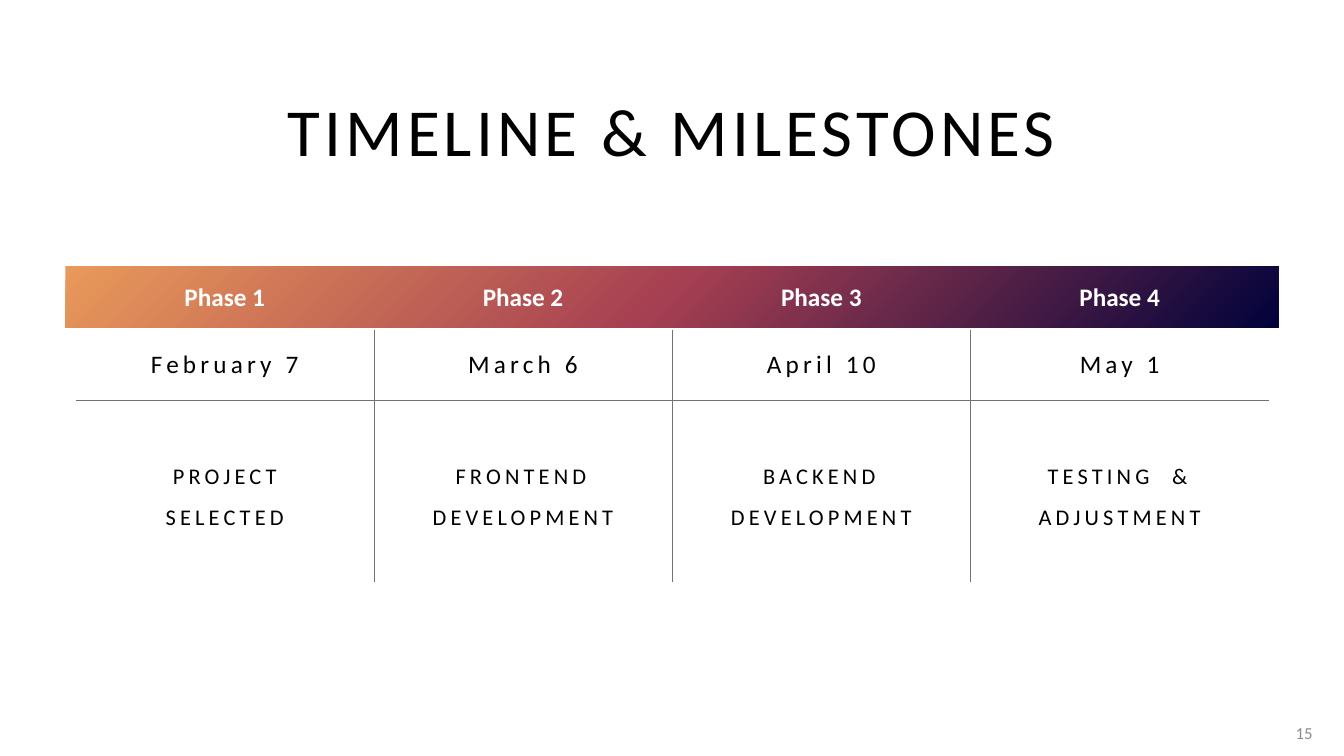
from lxml.etree import SubElement
from pptx import Presentation
from pptx.dml.color import RGBColor
from pptx.enum.shapes import MSO_SHAPE
from pptx.enum.text import MSO_ANCHOR, PP_ALIGN
from pptx.oxml import parse_xml
from pptx.oxml.ns import nsdecls, qn
from pptx.util import Pt

BLACK = RGBColor(0x00, 0x00, 0x00)
WHITE = RGBColor(0xFF, 0xFF, 0xFF)
GREY = RGBColor(0x8C, 0x8C, 0x8C)
RULE = RGBColor(0x76, 0x71, 0x71)
NAVY = RGBColor(0x01, 0x02, 0x3B)
ROSE = RGBColor(0xA5, 0x3F, 0x52)
ORANGE = RGBColor(0xE9, 0x99, 0x5A)

NO_STYLE = "{2D5ABB26-0587-4C30-8999-92F81FD0307C}"
LEFT, BAND_W = 46.8, 866.2
COL_W = 213.1
ROW_HEIGHTS = [46, 50.4, 129.6]

PHASES = [
    ("Phase 1", "February 7", "PROJECT\nSELECTED"),
    ("Phase 2", "March 6", "FRONTEND DEVELOPMENT"),
    ("Phase 3", "April 10", "BACKEND\vDEVELOPMENT"),
    ("Phase 4", "May 1", "TESTING  & ADJUSTMENT"),
]
ROW_FORMATS = [
    dict(size=18, color=WHITE, bold=True),
    dict(size=18, color=BLACK, spacing=3),
    dict(size=16, color=BLACK, spacing=3, line_spacing=1.5),
]


def write(tf, text, size, color, bold=False, spacing=0, line_spacing=1.0,
          align=PP_ALIGN.CENTER):
    """Fill a text frame; each newline starts a paragraph, spacing is in points."""
    tf.word_wrap = True
    tf.vertical_anchor = MSO_ANCHOR.MIDDLE
    tf.text = text
    for p in tf.paragraphs:
        p.alignment = align
        p.line_spacing = line_spacing
        for r in p.runs:
            for name, value in dict(name="Calibri", size=Pt(size), bold=bold).items():
                setattr(r.font, name, value)
            r.font.color.rgb = color
            if spacing:
                r.font._element.set("spc", str(spacing * 100))


def add_border(cell, side):
    ln = SubElement(cell._tc.get_or_add_tcPr(), qn(f"a:ln{side}"), w=str(Pt(0.25)))
    fill = SubElement(ln, qn("a:solidFill"))
    SubElement(fill, qn("a:srgbClr"), val=str(RULE))


prs = Presentation()
prs.slide_width, prs.slide_height = Pt(960), Pt(540)
s = prs.slides.add_slide(prs.slide_layouts[6])

# Gradient band behind the header row
band = s.shapes.add_shape(MSO_SHAPE.RECTANGLE, Pt(LEFT), Pt(190.1), Pt(BAND_W), Pt(43.9))
band.shadow.inherit = False
band.line.fill.background()
stops = "".join(
    f'<a:gs pos="{pos * 1000}"><a:srgbClr val="{color}"/></a:gs>'
    for pos, color in [(0, NAVY), (50, ROSE), (100, ORANGE)]
)
gradient = parse_xml(
    f'<a:gradFill {nsdecls("a")} rotWithShape="1"><a:gsLst>{stops}</a:gsLst>'
    '<a:path path="circle"><a:fillToRect l="100000" t="100000"/></a:path>'
    '<a:tileRect r="-100000" b="-100000"/></a:gradFill>'
)
band._element.spPr.find(qn("a:prstGeom")).addnext(gradient)

# Title
title = s.shapes.add_textbox(Pt(LEFT), Pt(60.5), Pt(BAND_W), Pt(64.8))
write(title.text_frame, "TIMELINE & MILESTONES", 48, BLACK, spacing=3)

# Phase table
frame = s.shapes.add_table(len(ROW_HEIGHTS), len(PHASES), Pt(54), Pt(189.4),
                           Pt(COL_W * len(PHASES)), Pt(sum(ROW_HEIGHTS)))
table = frame.table
table.first_row = table.horz_banding = False
table._tbl.tblPr.find(qn("a:tableStyleId")).text = NO_STYLE
for row, height in zip(table.rows, ROW_HEIGHTS):
    row.height = Pt(height)
for col, phase in enumerate(PHASES):
    table.columns[col].width = Pt(COL_W)
    for row, text in enumerate(phase):
        cell = table.cell(row, col)
        write(cell.text_frame, text, **ROW_FORMATS[row])
        cell.vertical_anchor = MSO_ANCHOR.MIDDLE
        inner_sides = {
            "L": row > 0 and col > 0,
            "R": row > 0 and col < len(PHASES) - 1,
            "T": row == 2,
            "B": row == 1,
        }
        for side, shown in inner_sides.items():
            if shown:
                add_border(cell, side)
        cell.fill.background()

# Slide number
number = s.shapes.add_textbox(Pt(909.4), Pt(509), Pt(35.3), Pt(28.8))
write(number.text_frame, "15", 12, GREY, align=PP_ALIGN.RIGHT)

prs.save("out.pptx")
